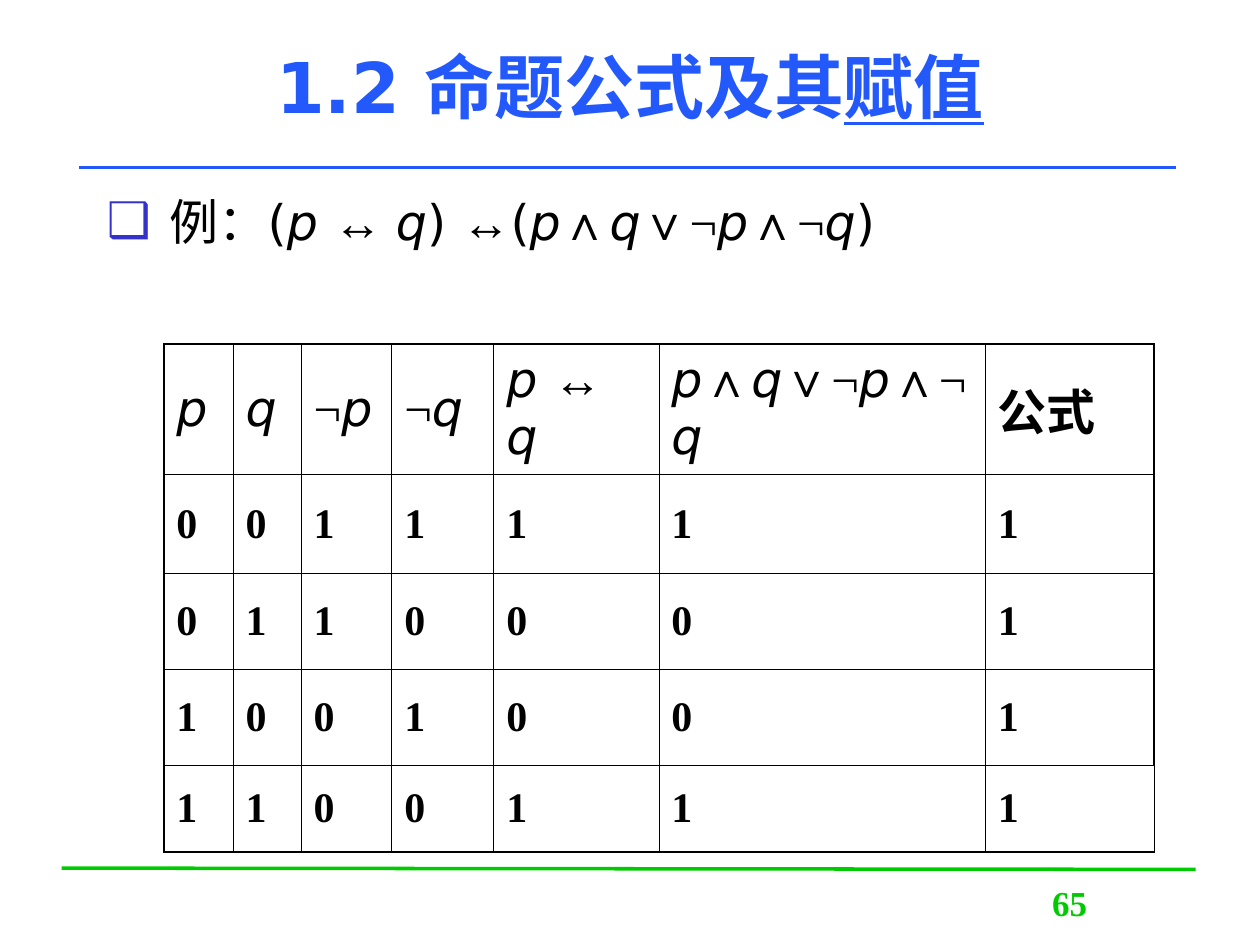
from dataclasses import dataclass

from lxml import etree
from pptx import Presentation
from pptx import util as u
from pptx.dml.color import RGBColor
from pptx.enum import shapes, text
from pptx.oxml import ns


@dataclass(frozen=True)
class Theme:
    blue: str = "2359FB"
    green: str = "00CB00"
    bullet: str = "3333CC"
    ink: str = "000000"
    sans: str = "DejaVu Sans"
    serif: str = "Times New Roman"
    symbol: str = "Arial"
    title_size: float = 40
    formula_size: float = 28
    value_size: float = 24
    number_size: float = 20
    rule_width: float = 2
    outer_border: float = 1.08
    inner_border: float = 0.45


@dataclass(frozen=True)
class Rule:
    start: tuple[float, float]
    end: tuple[float, float]
    color: str


THEME = Theme()
RULES = [
    Rule((0.49, 6.89), (9.49, 6.9), THEME.green),
    Rule((0.63, 1.33), (9.33, 1.33), THEME.blue),
]
COLUMN_WIDTHS = [0.55, 0.54, 0.72, 0.81, 1.31, 2.59, 1.34]
ROW_HEIGHTS = [0.79, 0.79, 0.76, 0.76, 0.69]
FORMULAS = ["p", "q", "¬p", "¬q", "p ↔ q", "p∧q∨¬p∧¬q"]
TRUTH_ROWS = ["0011111", "0110001", "1001001", "1100111"]


def add_text(paragraph, content: str, *, size: float, font: str = THEME.serif,
             color: str = THEME.ink, bold: bool = False, italic: bool = False,
             underline: bool = False) -> None:
    run = paragraph.add_run()
    run.text = content
    run.font.size = u.Pt(size)
    run.font.name = font
    run.font.color.rgb = RGBColor.from_string(color)
    run.font.bold = bold
    run.font.italic = italic
    run.font.underline = underline


def add_formula(paragraph, formula: str) -> None:
    """Write variables in italics and each operator in its own font."""
    pieces: list[list] = []
    for character in formula:
        if character in "∧∨↔":
            style = (THEME.symbol, False)
        elif character == "¬":
            style = (THEME.serif, False)
        else:
            style = (THEME.sans, character in "pq")
        if pieces and (character == " " or pieces[-1][1] == style):
            pieces[-1][0] += character
        else:
            pieces.append([character, style])
    for content, (font, italic) in pieces:
        add_text(paragraph, content, size=THEME.formula_size, font=font, italic=italic)


def add_text_box(slide, left: float, top: float, width: float, height: float,
                 anchor=text.MSO_ANCHOR.TOP, align=text.PP_ALIGN.LEFT):
    """Add an empty wrapping box and return its first paragraph."""
    box = slide.shapes.add_textbox(*map(u.Inches, (left, top, width, height)))
    box.text_frame.word_wrap = True
    box.text_frame.vertical_anchor = anchor
    paragraph = box.text_frame.paragraphs[0]
    paragraph.alignment = align
    return paragraph


def add_bullet(paragraph, character: str, color: str, indent: float) -> None:
    properties = paragraph._p.get_or_add_pPr()
    properties.set("marL", str(u.Inches(indent)))
    properties.set("indent", str(u.Inches(-indent)))
    bullet_color = etree.SubElement(properties, ns.qn("a:buClr"))
    etree.SubElement(bullet_color, ns.qn("a:srgbClr"), val=color)
    etree.SubElement(properties, ns.qn("a:buFont"), typeface=THEME.sans)
    etree.SubElement(properties, ns.qn("a:buChar"), char=character)


def add_rule(slide, rule: Rule) -> None:
    line = slide.shapes.add_connector(
        shapes.MSO_CONNECTOR.STRAIGHT, *map(u.Inches, rule.start + rule.end))
    line.line.color.rgb = RGBColor.from_string(rule.color)
    line.line.width = u.Pt(THEME.rule_width)
    etree.SubElement(line._element.spPr, ns.qn("a:effectLst"))


def set_borders(cell, widths: dict[str, float]) -> None:
    properties = cell._tc.get_or_add_tcPr()
    for side, width in widths.items():
        border = etree.SubElement(properties, ns.qn(f"a:ln{side}"), w=str(u.Pt(width)))
        fill = etree.SubElement(border, ns.qn("a:solidFill"))
        etree.SubElement(fill, ns.qn("a:srgbClr"), val=THEME.ink)


def add_truth_table(slide, left: float, top: float) -> None:
    row_count, column_count = len(ROW_HEIGHTS), len(COLUMN_WIDTHS)
    table = slide.shapes.add_table(
        row_count, column_count, u.Inches(left), u.Inches(top),
        u.Inches(sum(COLUMN_WIDTHS)), u.Inches(sum(ROW_HEIGHTS))).table
    table.first_row = table.horz_banding = False
    for column, width in zip(table.columns, COLUMN_WIDTHS):
        column.width = u.Inches(width)
    for row, height in zip(table.rows, ROW_HEIGHTS):
        row.height = u.Inches(height)

    last_row, last_column = row_count - 1, column_count - 1
    for r in range(row_count):
        for c in range(column_count):
            cell = table.cell(r, c)
            outer = {"L": c == 0, "R": c == last_column and r < last_row,
                     "T": r == 0, "B": r == last_row}
            set_borders(cell, {side: THEME.outer_border if is_outer else THEME.inner_border
                               for side, is_outer in outer.items()})
            cell.fill.background()
            cell.vertical_anchor = text.MSO_ANCHOR.MIDDLE
            paragraph = cell.text_frame.paragraphs[0]
            if r > 0:
                add_text(paragraph, TRUTH_ROWS[r - 1][c], size=THEME.value_size, bold=True)
            elif c < last_column:
                add_formula(paragraph, FORMULAS[c])
            else:
                add_text(paragraph, "公式", size=THEME.formula_size, bold=True)


def main() -> None:
    presentation = Presentation()
    presentation.slide_width, presentation.slide_height = u.Inches(10), u.Inches(7.5)
    slide = presentation.slides.add_slide(presentation.slide_layouts[6])

    for rule in RULES:
        add_rule(slide, rule)

    page_number = add_text_box(slide, 7.7, 6.95, 1.58, 0.5, align=text.PP_ALIGN.CENTER)
    add_text(page_number, "65", size=THEME.number_size, color=THEME.green, bold=True)

    title = add_text_box(slide, 0.75, 0.05, 8.5, 1.25,
                         text.MSO_ANCHOR.MIDDLE, text.PP_ALIGN.CENTER)
    for content, underline in (("1.2 命题公式及其", False), ("赋值", True)):
        add_text(title, content, size=THEME.title_size, font=THEME.sans,
                 color=THEME.blue, bold=True, underline=underline)

    example = add_text_box(slide, 0.75, 1.47, 8.66, 5.35)
    add_bullet(example, "❑", THEME.bullet, 0.5)
    add_text(example, "例：", size=THEME.formula_size)
    add_formula(example, "(p ↔ q) ↔(p∧q∨¬p∧¬q)")

    add_truth_table(slide, 1.3, 2.73)
    presentation.save("out.pptx")


if __name__ == "__main__":
    main()
